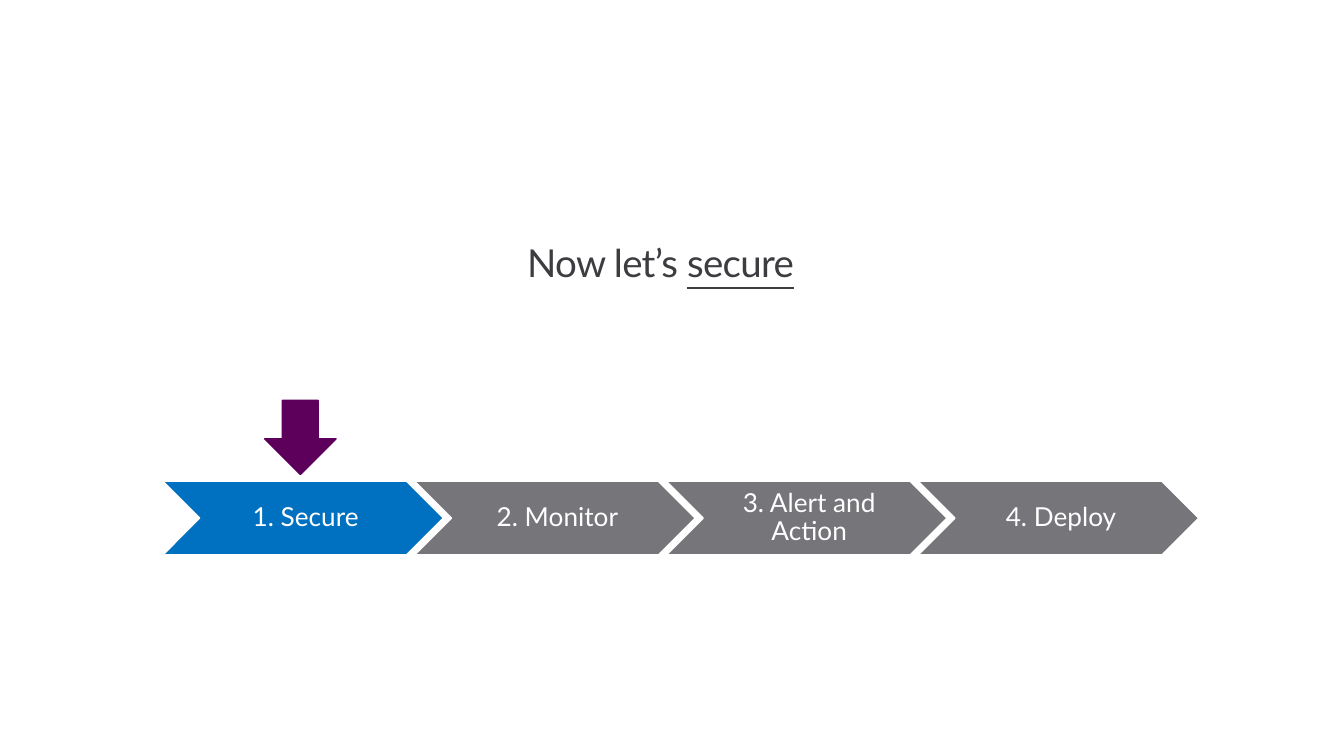
from dataclasses import dataclass

from pptx import Presentation
from pptx.dml.color import RGBColor
from pptx.enum.shapes import MSO_SHAPE
from pptx.enum.text import MSO_ANCHOR, PP_ALIGN
from pptx.util import Inches, Pt

CHEVRON = MSO_SHAPE.CHEVRON
DOWN = MSO_SHAPE.DOWN_ARROW
MIDDLE = MSO_ANCHOR.MIDDLE
CENTER = PP_ALIGN.CENTER


@dataclass(frozen=True)
class Theme:
    font: str = "Lato"
    ink: str = "3C3C41"
    white: str = "FFFFFF"
    blue: str = "0070C0"
    gray: str = "75757A"
    plum: str = "5C005C"
    title: float = 20.6
    label: float = 14
    line: float = 0.85


THEME = Theme()
STEPS = ["1. Secure", "2. Monitor", "3. Alert and Action", "4. Deploy"]


def apply(item, values):
    for name, value in values.items():
        setattr(item, name, value)


def add_form(slide, kind, box, fill, line):
    form = slide.shapes.add_shape(kind, *map(Inches, box))
    form.shadow.inherit = False
    form.fill.solid()
    form.fill.fore_color.rgb = RGBColor.from_string(fill)
    form.line.color.rgb = RGBColor.from_string(line)
    form.line.width = Pt(THEME.line)


def add_text(slide, box, runs, size, color, insets):
    frame = slide.shapes.add_textbox(*map(Inches, box)).text_frame
    left, top, right, bottom = map(Inches, insets)
    apply(frame, {
        "word_wrap": True, "vertical_anchor": MIDDLE,
        "margin_left": left, "margin_top": top,
        "margin_right": right, "margin_bottom": bottom,
    })
    para = frame.paragraphs[0]
    apply(para, {"alignment": CENTER, "line_spacing": 0.9})
    for text, style in runs:
        run = para.add_run()
        run.text = text
        apply(run.font, {"name": THEME.font, "size": Pt(size), **style})
        run.font.color.rgb = RGBColor.from_string(color)
    return para


def add_title(slide, box):
    runs = [("Now let’s ", {}), ("secure", {"underline": True})]
    para = add_text(slide, box, runs, THEME.title, THEME.ink,
                    (0, 0.1, 0.16, 0.1))
    for run in para.runs:
        run.font._element.set("spc", "-40")


def add_steps(slide, box, active):
    left, top, width, height = box
    wide = 2.09
    pitch = (width - wide) / (len(STEPS) - 1)
    inset = height / 2
    for index, step in enumerate(STEPS):
        x = left + index * pitch
        fill = THEME.blue if index == active else THEME.gray
        add_form(slide, CHEVRON, (x, top, wide, height), fill, THEME.white)
        add_text(slide, (x + inset, top, wide - 2 * inset, height),
                 [(step, {})], THEME.label, THEME.white,
                 (0.06, 0.02, 0.02, 0.02))


def add_marker(slide, box):
    add_form(slide, DOWN, box, THEME.plum, THEME.plum)


def main():
    deck = Presentation()
    wide = Inches(10)
    apply(deck, {"slide_width": wide, "slide_height": wide * 9 // 16})
    slide = deck.slides.add_slide(deck.slide_layouts[6])
    add_title(slide, (0.42, 1.64, 9.15, 0.67))
    add_steps(slide, (1.21, 3.58, 7.71, 0.55), 0)
    add_marker(slide, (1.97, 2.98, 0.53, 0.55))
    deck.save("out.pptx")


if __name__ == "__main__":
    main()
